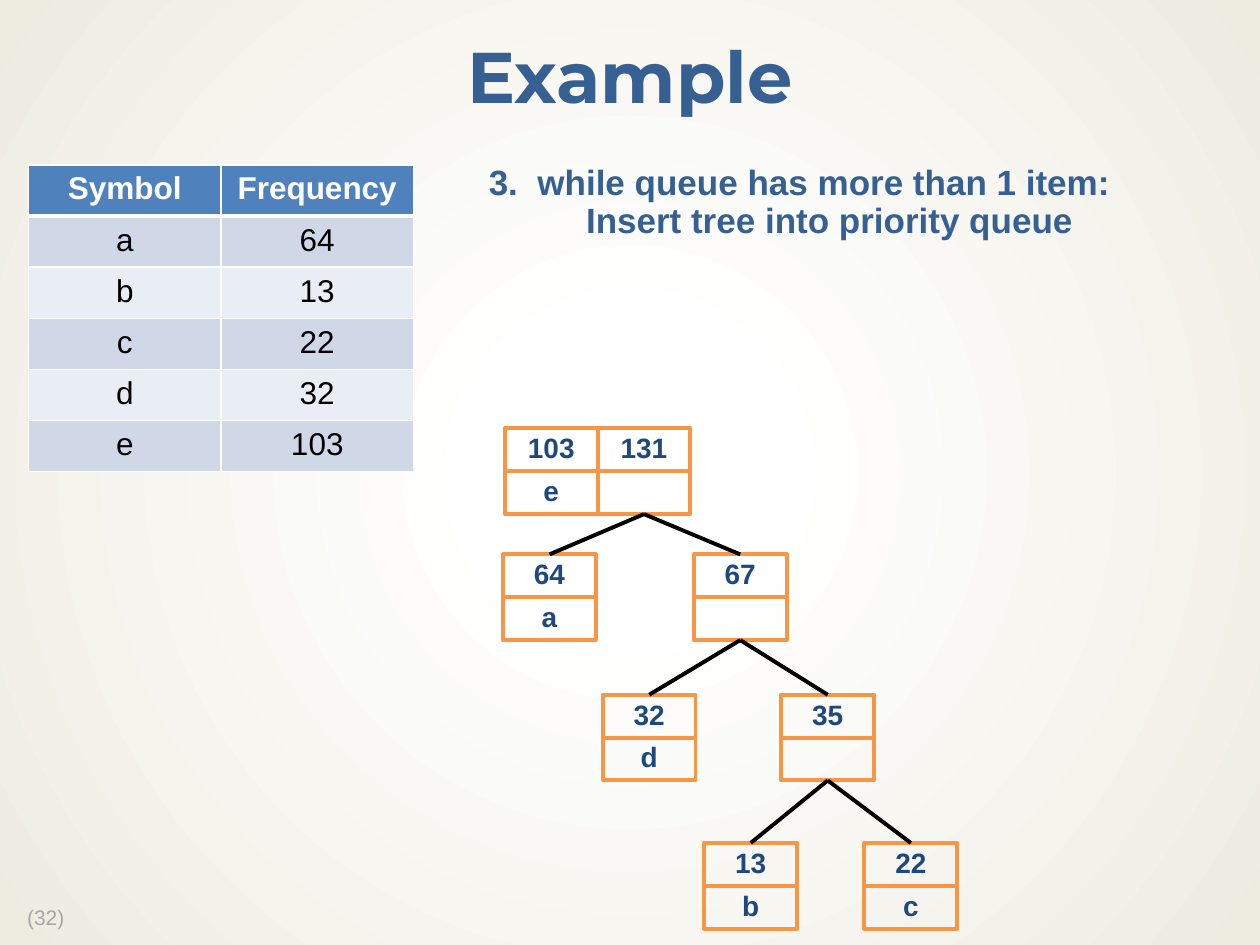
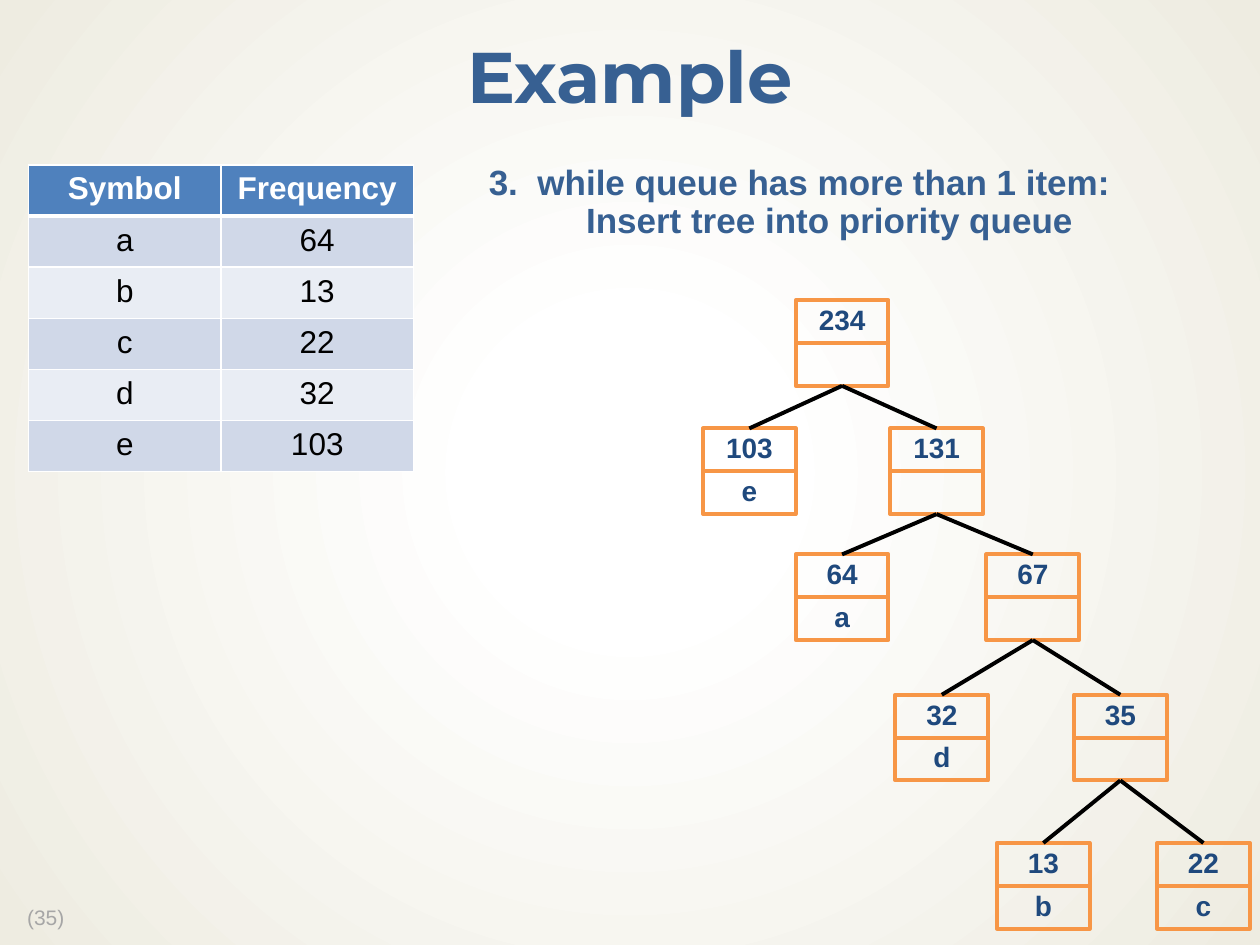
from lxml.etree import SubElement
from pptx import Presentation
from pptx.dml.color import RGBColor
from pptx.enum.shapes import MSO_CONNECTOR as Connector, MSO_SHAPE as Shape
from pptx.enum.text import MSO_ANCHOR as Anchor, PP_ALIGN as Align
from pptx.oxml import parse_xml
from pptx.oxml.ns import nsdecls, qn
from pptx.util import Pt

TITLE = "Example"
STEP = "3.\twhile queue has more than 1 item:"
ACTION = "Insert tree into priority queue"
FREQUENCIES = [("Symbol", "Frequency"), ("a", "64"), ("b", "13"),
               ("c", "22"), ("d", "32"), ("e", "103")]

LEAF_E = ("103", "e")
TREE_35 = ("35", "", (-44, ("13", "b")), (47.5, ("22", "c")))
TREE_67 = ("67", "", (-52, ("32", "d")), (50, TREE_35))
TREE_131 = ("131", "", (-54, ("64", "a")), (55, TREE_67))
TREE_234 = ("234", "", (-53, LEAF_E), (54, TREE_131))
STEPS = [
    {"number": "(32)", "queue": [(288.5, 1, LEAF_E), (341.5, 1, TREE_131)]},
    {"number": "(35)", "queue": [(454.7, 0, TREE_234)]},
]

HEADING, NODE_TEXT, NODE_LINE = "376092", "1F497D", "F79646"
HEADER_FILL, BANDS = "4F81BD", ("E9EDF4", "D0D8E8")
WHITE, BLACK, GREY = "FFFFFF", "000000", "A6A6A6"
BACKDROP = f"""<a:gradFill {nsdecls("a")} rotWithShape="1"><a:gsLst>
<a:gs pos="18000"><a:srgbClr val="FFFFFF"><a:alpha val="53000"/></a:srgbClr></a:gs>
<a:gs pos="100000"><a:srgbClr val="EEECE1"/></a:gs></a:gsLst>
<a:path path="circle"><a:fillToRect l="50000" t="50000" r="50000" b="50000"/></a:path>
</a:gradFill>"""

LEVEL_TOPS = (171.5, 244.8, 316.8, 397, 481.7)
NODE_WIDTH, FIELD_HEIGHT = 53, 24.5
COLUMN_WIDTH, ROW_HEIGHT = 110, 29.2


def rgb(value):
    return RGBColor.from_string(value)


def style(paragraph, size, color, bold=True, font="Arial", align=Align.CENTER, spacing=0.9):
    paragraph.alignment = align
    paragraph.line_spacing = spacing
    paragraph.font.name = font
    paragraph.font.size = Pt(size)
    paragraph.font.bold = bold
    paragraph.font.color.rgb = rgb(color)


def add_text(slide, box, lines, insets, anchor=Anchor.TOP, **look):
    frame = slide.shapes.add_textbox(*map(Pt, box)).text_frame
    frame.word_wrap = True
    frame.vertical_anchor = anchor
    frame.margin_left = frame.margin_right = Pt(insets[0])
    frame.margin_top = frame.margin_bottom = Pt(insets[1])
    for index, line in enumerate(lines):
        paragraph = frame.add_paragraph() if index else frame.paragraphs[0]
        paragraph.text = line
        style(paragraph, **look)
    return frame


def add_borders(cell, bottom):
    properties = cell._tc.get_or_add_tcPr()
    for index, (side, width) in enumerate(zip("LRTB", (1, 1, 1, bottom))):
        properties.insert(index, parse_xml(
            f'<a:ln{side} {nsdecls("a")} w="{Pt(width)}"><a:solidFill>'
            f'<a:srgbClr val="{WHITE}"/></a:solidFill></a:ln{side}>'))


def add_frequencies(slide):
    rows = len(FREQUENCIES)
    table = slide.shapes.add_table(rows, 2, Pt(16.3), Pt(94.3),
                                   Pt(2 * COLUMN_WIDTH), Pt(rows * ROW_HEIGHT)).table
    for r, entry in enumerate(FREQUENCIES):
        for c, value in enumerate(entry):
            cell = table.cell(r, c)
            cell.text = value
            cell.fill.solid()
            cell.fill.fore_color.rgb = rgb(BANDS[r % 2] if r else HEADER_FILL)
            add_borders(cell, 1 if r else 3)
            style(cell.text_frame.paragraphs[0], 18, BLACK if r else WHITE,
                  bold=r == 0, spacing=1.0)


def add_branch(slide, *ends):
    branch = slide.shapes.add_connector(Connector.STRAIGHT, *map(Pt, ends))
    branch.line.color.rgb = rgb(BLACK)
    branch.line.width = Pt(2.25)
    SubElement(branch._element.spPr, qn("a:effectLst"))


def add_tree(slide, left, level, node):
    frequency, symbol, *children = node
    top = LEVEL_TOPS[level]
    for row, value in enumerate((frequency, symbol)):
        field = slide.shapes.add_shape(
            Shape.RECTANGLE, Pt(left), Pt(top + row * FIELD_HEIGHT),
            Pt(NODE_WIDTH), Pt(FIELD_HEIGHT))
        field.shadow.inherit = False
        field.fill.background()
        field.line.color.rgb = rgb(NODE_LINE)
        field.line.width = Pt(2.25)
        field.text_frame.vertical_anchor = Anchor.TOP
        if value:
            field.text_frame.text = value
            style(field.text_frame.paragraphs[0], 16, NODE_TEXT)
    center = left + NODE_WIDTH / 2
    for shift, child in children:
        add_tree(slide, left + shift, level + 1, child)
        add_branch(slide, center, top + 2 * FIELD_HEIGHT,
                   center + shift, LEVEL_TOPS[level + 1])


def add_step(deck, number, queue):
    slide = deck.slides.add_slide(deck.slide_layouts[6])
    add_text(slide, (5, 514.8, 60, 20), [number], (10.5, 3.6),
             size=12, color=GREY, bold=False, align=Align.LEFT)
    add_text(slide, (0, 12.2, 720, 67.7), [TITLE], (9.4, 4.3), Anchor.MIDDLE,
             size=41, color=HEADING, font="Montserrat")
    add_frequencies(slide)
    for left, level, tree in queue:
        add_tree(slide, left, level, tree)
    instruction = add_text(slide, (270.7, 90, 422, 119.5), [STEP, ACTION], (8.6, 4.3),
                           size=20, color=HEADING, align=Align.LEFT)
    for paragraph, margin, indent in zip(instruction.paragraphs, (27.8, 55.6), (-27.8, 0)):
        properties = paragraph._p.get_or_add_pPr()
        properties.set("marL", str(Pt(margin)))
        properties.set("indent", str(Pt(indent)))


def main():
    deck = Presentation()
    deck.slide_width, deck.slide_height = Pt(720), Pt(540)
    master = deck.slide_master
    master.background.fill.solid()
    solid = master.element.xpath("./p:cSld/p:bg/p:bgPr/a:solidFill")[0]
    solid.getparent().replace(solid, parse_xml(BACKDROP))
    for step in STEPS:
        add_step(deck, **step)
    deck.save("out.pptx")


if __name__ == "__main__":
    main()
